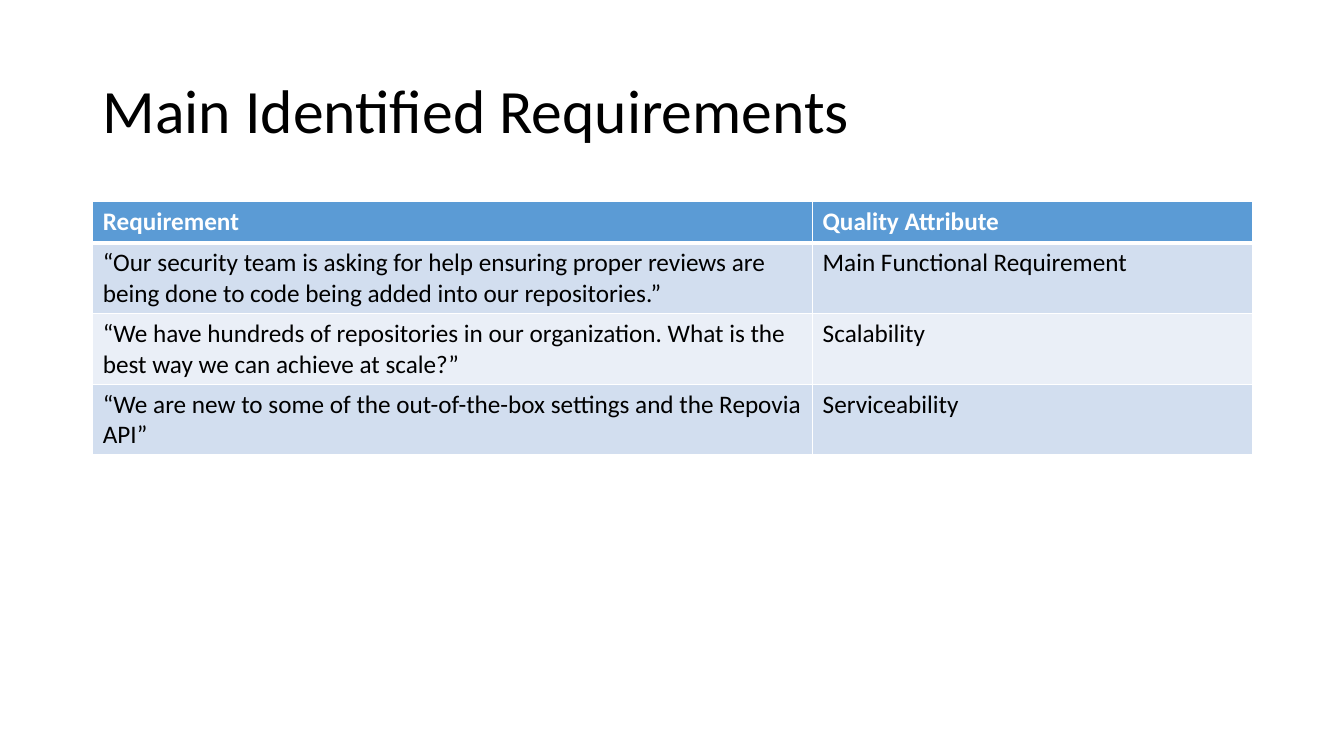
from lxml.etree import SubElement
from pptx import Presentation
from pptx.dml.color import RGBColor
from pptx.enum.text import MSO_ANCHOR
from pptx.oxml.ns import qn
from pptx.util import Inches, Pt

W, H = 13.33, 7.5
LEFT, WIDTH = 0.92, 11.5
COLS = [7.14, 4.36]
ROWS = [0.41, 0.7, 0.7, 0.7]
HEADER, BANDS = "5B9BD5", ["D2DEEF", "EAEFF7"]
DATA = [
    ("Requirement", "Quality Attribute"),
    ("“Our security team is asking for help ensuring proper reviews are "
     "being done to code being added into our repositories.”",
     "Main Functional Requirement"),
    ("“We have hundreds of repositories in our organization. What is the "
     "best way we can achieve at scale?”", "Scalability"),
    ("“We are new to some of the out-of-the-box settings and the Repovia API”",
     "Serviceability"),
]


def write(p, text, color, **fmt):
    r = p.add_run()
    r.text = text
    r.font.color.rgb = RGBColor.from_string(color)
    for name, value in {"name": "Calibri", **fmt}.items():
        setattr(r.font, name, value)


def border(cell, side, width):
    ln = SubElement(cell._tc.get_or_add_tcPr(), qn(f"a:ln{side}"), w=str(Pt(width)))
    fill = SubElement(ln, qn("a:solidFill"))
    SubElement(fill, qn("a:srgbClr"), val="FFFFFF")


prs = Presentation()
prs.slide_width, prs.slide_height = Inches(W), Inches(H)
s = prs.slides.add_slide(prs.slide_layouts[6])

# Title
sp = s.shapes.add_textbox(Inches(LEFT), Inches(0.4), Inches(WIDTH), Inches(1.45))
tf = sp.text_frame
tf.word_wrap = True
tf.vertical_anchor = MSO_ANCHOR.MIDDLE
p = tf.paragraphs[0]
p.line_spacing = 0.9
write(p, "Main Identified Requirements", "000000", size=Pt(44))

# Requirements table
table = s.shapes.add_table(len(ROWS), len(COLS), Inches(LEFT), Inches(2),
                           Inches(WIDTH), Inches(sum(ROWS))).table
for col, width in zip(table.columns, COLS):
    col.width = Inches(width)
for row, height in zip(table.rows, ROWS):
    row.height = Inches(height)

# Cells: header row, then alternating bands
for i, texts in enumerate(DATA):
    head = i == 0
    for j, text in enumerate(texts):
        cell = table.cell(i, j)
        # The rule under the header is thicker than the others
        widths = {"L": 1, "R": 1, "T": 3 if i == 1 else 1, "B": 3 if head else 1}
        for side, width in widths.items():
            border(cell, side, width)
        cell.fill.solid()
        cell.fill.fore_color.rgb = RGBColor.from_string(
            HEADER if head else BANDS[(i - 1) % 2])
        write(cell.text_frame.paragraphs[0], text,
              "FFFFFF" if head else "000000", size=Pt(18), bold=head)

prs.save("out.pptx")
